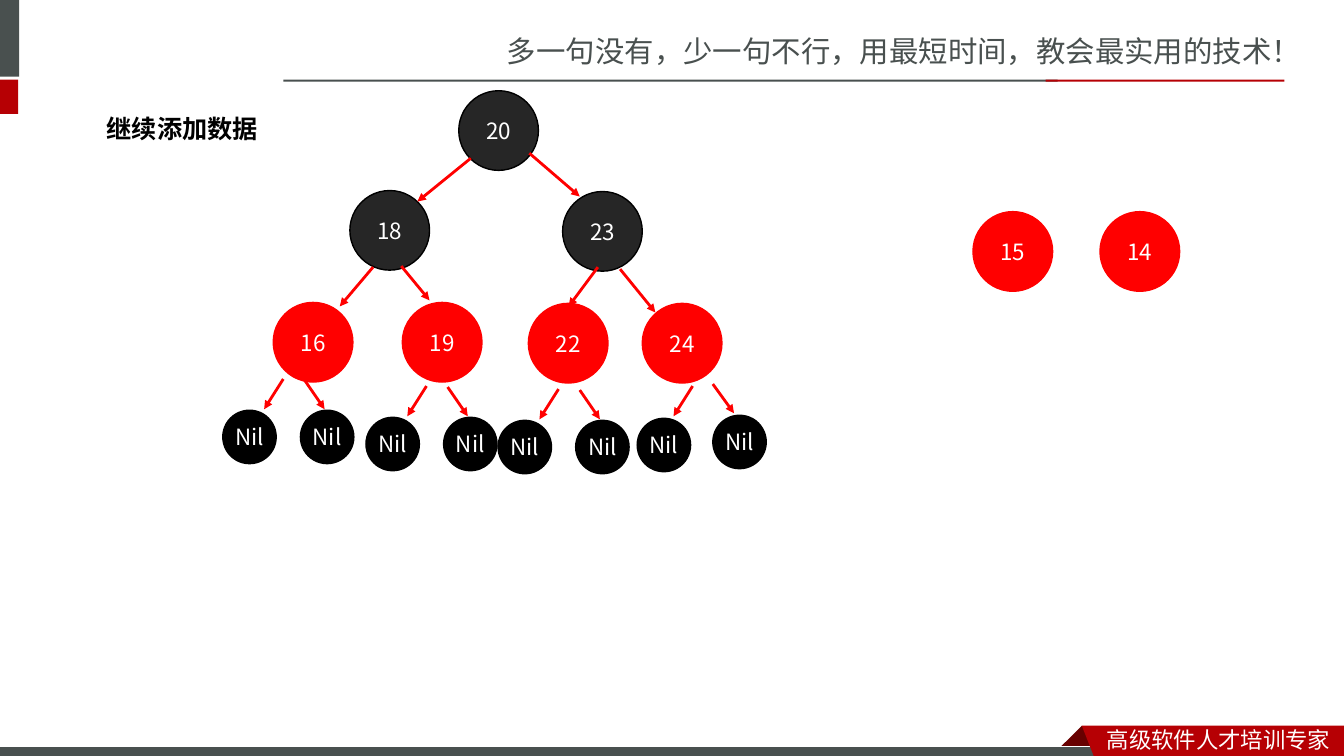
import lxml.etree
import pptx
import pptx.dml.color
import pptx.enum.shapes
import pptx.enum.text
import pptx.oxml.ns
import pptx.util

Inches = pptx.util.Inches
SHAPES = pptx.enum.shapes.MSO_SHAPE
FONT = "Noto Sans CJK SC"
GRAY, CRIMSON, RED, DARK, BLACK, WHITE = (
    "49504F", "B60004", "FF0000", "262626", "000000", "FFFFFF")
NODE_SIZE, NIL_SIZE, NIL_STEP = 0.79, 0.53, 0.77


def rgb(code):
    """Turn a hex string into a colour."""
    return pptx.dml.color.RGBColor.from_string(code)


def add_element(parent, tag, **attributes):
    """Append a DrawingML element to a parent."""
    return lxml.etree.SubElement(parent, pptx.oxml.ns.qn(tag), attributes)


def paint(shape, fill, line=None, width=1):
    """Give a shape its fill and outline, without shadow."""
    shape.shadow.inherit = False
    shape.fill.solid()
    shape.fill.fore_color.rgb = rgb(fill)
    if line:
        shape.line.color.rgb = rgb(line)
        shape.line.width = pptx.util.Pt(width)
    else:
        shape.line.fill.background()


def write(frame, text, size, color, font=FONT, bold=False):
    """Write one paragraph and return it."""
    paragraph = frame.paragraphs[0]
    paragraph.text = text
    paragraph.font.size = pptx.util.Pt(size)
    paragraph.font.bold = bold
    paragraph.font.color.rgb = rgb(color)
    paragraph.font.name = font
    properties = paragraph._p.pPr.find(pptx.oxml.ns.qn("a:defRPr"))
    add_element(properties, "a:ea", typeface=font)
    return paragraph


def add_text(slide, box, text, size, color, font=FONT, bold=False, wrap=True):
    """Add a text box."""
    frame = slide.shapes.add_textbox(*map(Inches, box)).text_frame
    frame.word_wrap = wrap
    write(frame, text, size, color, font, bold)


def add_bar(slide, box, fill, line=None):
    """Add a plain rectangle."""
    bar = slide.shapes.add_shape(SHAPES.RECTANGLE, *map(Inches, box))
    paint(bar, fill, line, 0.75)


def add_outline(slide, points, fill):
    """Add a filled polygon."""
    start, *rest = [tuple(map(Inches, point)) for point in points]
    builder = slide.shapes.build_freeform(*start)
    builder.add_line_segments(rest, close=True)
    paint(builder.convert_to_shape(), fill)


def add_node(slide, left, top, label, fill, line, size=NODE_SIZE):
    """Add a labelled tree node."""
    box = map(Inches, (left, top, size, size))
    node = slide.shapes.add_shape(SHAPES.OVAL, *box)
    paint(node, fill, line)
    frame = node.text_frame
    frame.word_wrap = False
    frame.margin_left = frame.margin_right = 0
    frame.margin_top = frame.margin_bottom = 0
    frame.vertical_anchor = pptx.enum.text.MSO_ANCHOR.MIDDLE
    write(frame, label, 16, WHITE).alignment = pptx.enum.text.PP_ALIGN.CENTER


def add_arrow(slide, x1, y1, x2, y2):
    """Add a red arrow from parent to child."""
    arrow = slide.shapes.add_connector(
        pptx.enum.shapes.MSO_CONNECTOR.STRAIGHT, *map(Inches, (x1, y1, x2, y2)))
    arrow.line.color.rgb = rgb(RED)
    arrow.line.width = pptx.util.Pt(2)
    add_element(arrow.line._get_or_add_ln(), "a:tailEnd", type="triangle")
    add_element(arrow._element.spPr, "a:effectLst")


def add_nil(slide, left, top):
    """Add an empty leaf."""
    add_node(slide, left, top, "Nil", BLACK, BLACK, NIL_SIZE)


def add_nil_pair(slide, left, top):
    """Add two empty leaves with the arrows that lead to them."""
    add_nil(slide, left, top)
    add_nil(slide, left + NIL_STEP, top)
    add_arrow(slide, left + 0.6, top - 0.31, left + 0.41, top - 0.01)
    add_arrow(slide, left + 0.81, top - 0.3, left + 1.01, top - 0.01)


def add_frame(slide):
    """Add the header and footer of the slide."""
    add_text(slide, (4.93, 0.28, 8.41, 0.47),
             "多一句没有，少一句不行，用最短时间，教会最实用的技术！", 21, GRAY)
    add_bar(slide, (-0.06, 0, 0.25, 0.76), GRAY)
    add_bar(slide, (-0.06, 0.79, 0.24, 0.34), CRIMSON)
    add_bar(slide, (2.81, 0.79, 7.68, 0.02), GRAY)
    add_bar(slide, (10.37, 0.79, 2.37, 0.02), CRIMSON)
    add_outline(slide, [(10.73, 7.2), (10.95, 7.42), (10.94, 7.43),
                        (10.52, 7.43), (10.51, 7.42)], "680000")
    add_bar(slide, (-0.01, 7.41, 11, 0.12), GRAY, WHITE)
    add_outline(slide, [(10.73, 7.2), (13.33, 7.2), (13.33, 7.54),
                        (10.86, 7.53)], CRIMSON)
    add_text(slide, (10.88, 7.15, 2.45, 0.37), "高级软件人才培训专家", 16, WHITE)


def add_tree(slide):
    """Add the red-black tree and the values still to insert."""
    for left, top, label in [(4.55, 0.9, "20"), (3.47, 1.89, "18"),
                             (5.58, 1.9, "23")]:
        add_node(slide, left, top, label, DARK, BLACK)
    for left, top, label in [(2.71, 3, "16"), (3.99, 3, "19"),
                             (5.24, 3.01, "22"), (6.37, 3.01, "24"),
                             (9.65, 2.1, "15"), (10.91, 2.1, "14")]:
        add_node(slide, left, top, label, RED, RED)
    for left, top in [(2.21, 4.07), (3.63, 4.14), (4.94, 4.17)]:
        add_nil_pair(slide, left, top)
    for left, top in [(6.32, 4.15), (7.07, 4.12)]:
        add_nil(slide, left, top)
    for ends in [(4.67, 1.57, 4.14, 2), (5.25, 1.52, 5.75, 1.95),
                 (3.7, 2.65, 3.37, 3.04), (3.98, 2.64, 4.26, 2.98),
                 (5.93, 2.65, 5.64, 3.04), (6.15, 2.67, 6.5, 3.1),
                 (6.87, 3.83, 6.68, 4.13), (7.07, 3.81, 7.28, 4.1)]:
        add_arrow(slide, *ends)


def main():
    """Build the slide and save it."""
    deck = pptx.Presentation()
    deck.slide_width, deck.slide_height = Inches(13.33), Inches(7.5)
    slide = deck.slides.add_slide(deck.slide_layouts[6])
    add_frame(slide)
    add_tree(slide)
    add_text(slide, (0.96, 1.08, 1.72, 0.4), "继续添加数据", 18, BLACK,
             "Noto Sans CJK JP", bold=True, wrap=False)
    deck.save("out.pptx")


if __name__ == "__main__":
    main()
